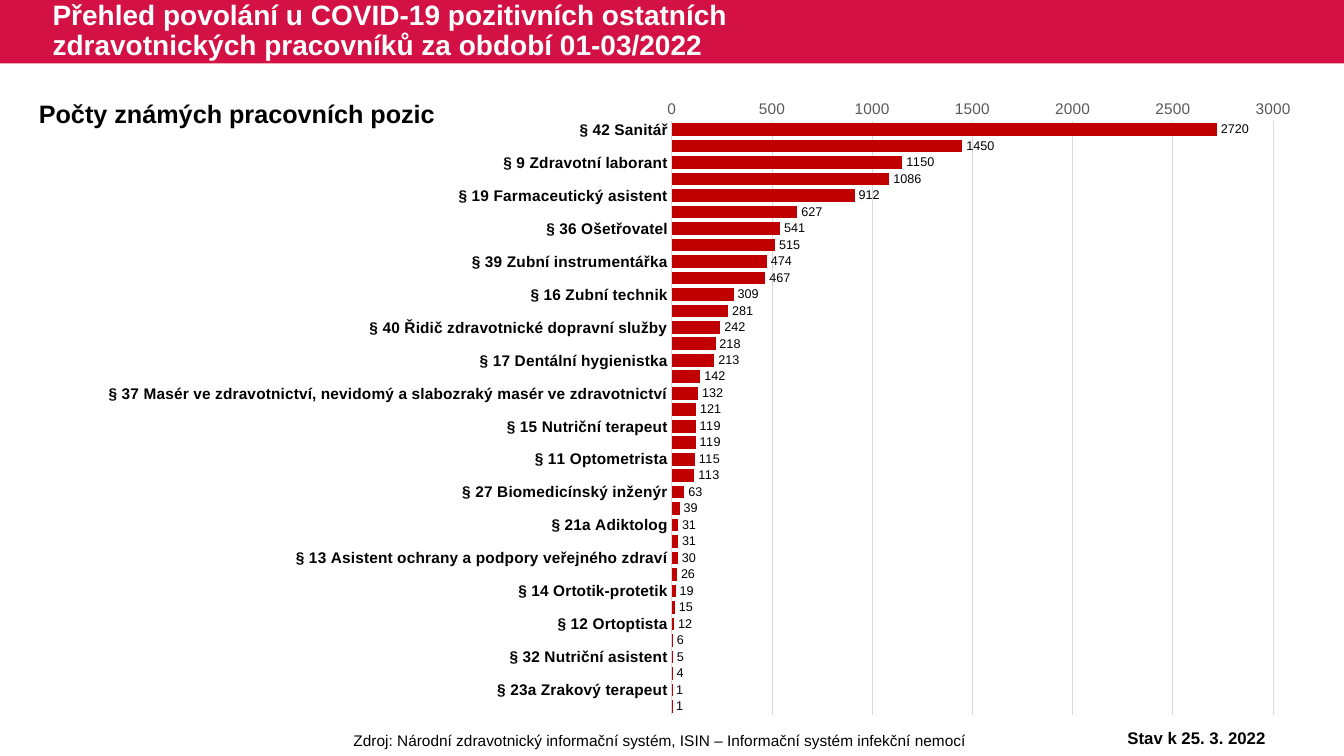
import pptx
import pptx.chart.data
import pptx.dml.color
import pptx.enum.chart
import pptx.enum.shapes
import pptx.enum.text
import pptx.oxml
import pptx.oxml.ns
import pptx.util
from pptx.util import Cm, Pt

RGBColor = pptx.dml.color.RGBColor
CRIMSON = RGBColor(0xD3, 0x11, 0x45)
BAR_RED = RGBColor(0xC0, 0x00, 0x00)
GRID_GRAY = RGBColor(0xD9, 0xD9, 0xD9)
AXIS_GRAY = RGBColor(0x59, 0x59, 0x59)
BLACK = RGBColor(0, 0, 0)
WHITE = RGBColor(255, 255, 255)

ALIGN = pptx.enum.text.PP_ALIGN
AUTO_SIZE = pptx.enum.text.MSO_AUTO_SIZE
MIDDLE = pptx.enum.text.MSO_ANCHOR.MIDDLE
TICK_NONE = pptx.enum.chart.XL_TICK_MARK.NONE

# Each labelled position: its count, then that of the unlabelled bar below
POSITION_COUNTS = [
    ("§ 42 Sanitář", 2720, 1450),
    ("§ 9 Zdravotní laborant", 1150, 1086),
    ("§ 19 Farmaceutický asistent", 912, 627),
    ("§ 36 Ošetřovatel", 541, 515),
    ("§ 39 Zubní instrumentářka", 474, 467),
    ("§ 16 Zubní technik", 309, 281),
    ("§ 40 Řidič zdravotnické dopravní služby", 242, 218),
    ("§ 17 Dentální hygienistka", 213, 142),
    ("§ 37 Masér ve zdravotnictví, nevidomý a slabozraký masér "
     "ve zdravotnictví", 132, 121),
    ("§ 15 Nutriční terapeut", 119, 119),
    ("§ 11 Optometrista", 115, 113),
    ("§ 27 Biomedicínský inženýr", 63, 39),
    ("§ 21a Adiktolog", 31, 31),
    ("§ 13 Asistent ochrany a podpory veřejného zdraví", 30, 26),
    ("§ 14 Ortotik-protetik", 19, 15),
    ("§ 12 Ortoptista", 12, 6),
    ("§ 32 Nutriční asistent", 5, 4),
    ("§ 23a Zrakový terapeut", 1, 1),
]


def apply(target, **values):
    for attribute, value in values.items():
        setattr(target, attribute, value)


class OverviewSlide:
    """Holds the font and the slide, and adds its elements."""

    typeface = "Arial"

    def __init__(self, deck):
        self.slide = deck.slides.add_slide(deck.slide_layouts[5])

    def style_font(self, font, size, color=BLACK, bold=False):
        apply(font, name=self.typeface, size=Pt(size), bold=bold)
        font.color.rgb = color

    def band(self, left, top, width, height, color):
        banner = self.slide.shapes.add_shape(
            pptx.enum.shapes.MSO_SHAPE.RECTANGLE,
            Cm(left), Cm(top), Cm(width), Cm(height))
        banner.shadow.inherit = False
        banner.fill.solid()
        banner.fill.fore_color.rgb = color
        banner.line.fill.background()
        # Keep the band behind the title
        self.slide.shapes._spTree.insert(2, banner._element)

    def title(self, left, top, width, height, wording):
        heading = self.slide.shapes.title
        apply(heading, left=Cm(left), top=Cm(top),
              width=Cm(width), height=Cm(height))
        apply(heading.text_frame, text=wording, word_wrap=True,
              auto_size=AUTO_SIZE.NONE, vertical_anchor=MIDDLE)
        line = heading.text_frame.paragraphs[0]
        apply(line, alignment=ALIGN.LEFT, line_spacing=0.9)
        self.style_font(line.runs[0].font, 20, WHITE, True)

    def text(self, left, top, width, height, wording, size,
             bold=False, alignment=ALIGN.CENTER, wrap=True):
        caption = self.slide.shapes.add_textbox(
            Cm(left), Cm(top), Cm(width), Cm(height)).text_frame
        apply(caption, text=wording, word_wrap=wrap,
              auto_size=AUTO_SIZE.SHAPE_TO_FIT_TEXT)
        line = caption.paragraphs[0]
        line.alignment = alignment
        self.style_font(line.runs[0].font, size, bold=bold)

    def bar_chart(self, left, top, width, height, counts, plot_area):
        data = pptx.chart.data.CategoryChartData()
        data.categories = [label for position, *_ in counts
                           for label in (position, "")]
        data.add_series("", [count for _, *pair in counts for count in pair])
        chart = self.slide.shapes.add_chart(
            pptx.enum.chart.XL_CHART_TYPE.BAR_CLUSTERED,
            Cm(left), Cm(top), Cm(width), Cm(height), data).chart
        apply(chart, has_legend=False, has_title=False)
        self.style_font(chart.font, 10)

        # Bars and their values
        bars = chart.plots[0]
        apply(bars, gap_width=30, overlap=100, vary_by_categories=False,
              has_data_labels=True)
        bars.series[0].format.fill.solid()
        bars.series[0].format.fill.fore_color.rgb = BAR_RED
        apply(bars.data_labels, show_value=True,
              position=pptx.enum.chart.XL_LABEL_POSITION.OUTSIDE_END)
        self.style_font(bars.data_labels.font, 9)

        # Axes
        job_axis, count_axis = chart.category_axis, chart.value_axis
        for axis in (job_axis, count_axis):
            apply(axis, major_tick_mark=TICK_NONE, minor_tick_mark=TICK_NONE)
        job_axis.reverse_order = True
        self.style_font(job_axis.tick_labels.font, 11, bold=True)
        self.style_font(count_axis.tick_labels.font, 11, AXIS_GRAY)
        apply(count_axis, minimum_scale=0, maximum_scale=3000,
              major_unit=500, has_major_gridlines=True)
        count_axis.format.line.fill.background()
        for rule in (job_axis.format.line,
                     count_axis.major_gridlines.format.line):
            rule.width = Pt(0.75)
            rule.color.rgb = GRID_GRAY
        self.place_plot(chart, plot_area)

    def place_plot(self, chart, plot_area):
        settings = [("layoutTarget", "inner"), ("xMode", "edge"),
                    ("yMode", "edge"), *zip("xywh", plot_area)]
        items = "".join(f'<c:{tag} val="{value}"/>' for tag, value in settings)
        layout = pptx.oxml.parse_xml(
            f'<c:layout {pptx.oxml.ns.nsdecls("c")}>'
            f'<c:manualLayout>{items}</c:manualLayout></c:layout>')
        area = chart._chartSpace.chart.plotArea
        for automatic in area.findall(pptx.oxml.ns.qn("c:layout")):
            area.remove(automatic)
        area.insert(0, layout)


def main():
    deck = pptx.Presentation()
    apply(deck, slide_width=Cm(33.87), slide_height=Cm(19.05))
    overview = OverviewSlide(deck)

    # Header
    overview.band(0, 0, 33.87, 1.6, CRIMSON)
    overview.title(1.07, 0, 20.98, 1.6,
                   "Přehled povolání u COVID-19 pozitivních ostatních "
                   "zdravotnických pracovníků za období 01-03/2022")

    # Counts by position
    overview.bar_chart(0.1, 2.03, 32.94, 16.31, POSITION_COUNTS,
                       (0.511, 0.063, 0.46, 0.917))
    overview.text(0.73, 2.36, 10.57, 1.02, "Počty známých pracovních pozic",
                  18, bold=True, alignment=ALIGN.LEFT, wrap=False)

    # Source and date
    overview.text(5.99, 18.29, 21.29, 0.74,
                  "Zdroj: Národní zdravotnický informační systém, "
                  "ISIN – Informační systém infekční nemocí", 11)
    overview.text(27.36, 18.21, 5.59, 0.76, "Stav k 25. 3. 2022", 12, bold=True)

    deck.save("out.pptx")


if __name__ == "__main__":
    main()
